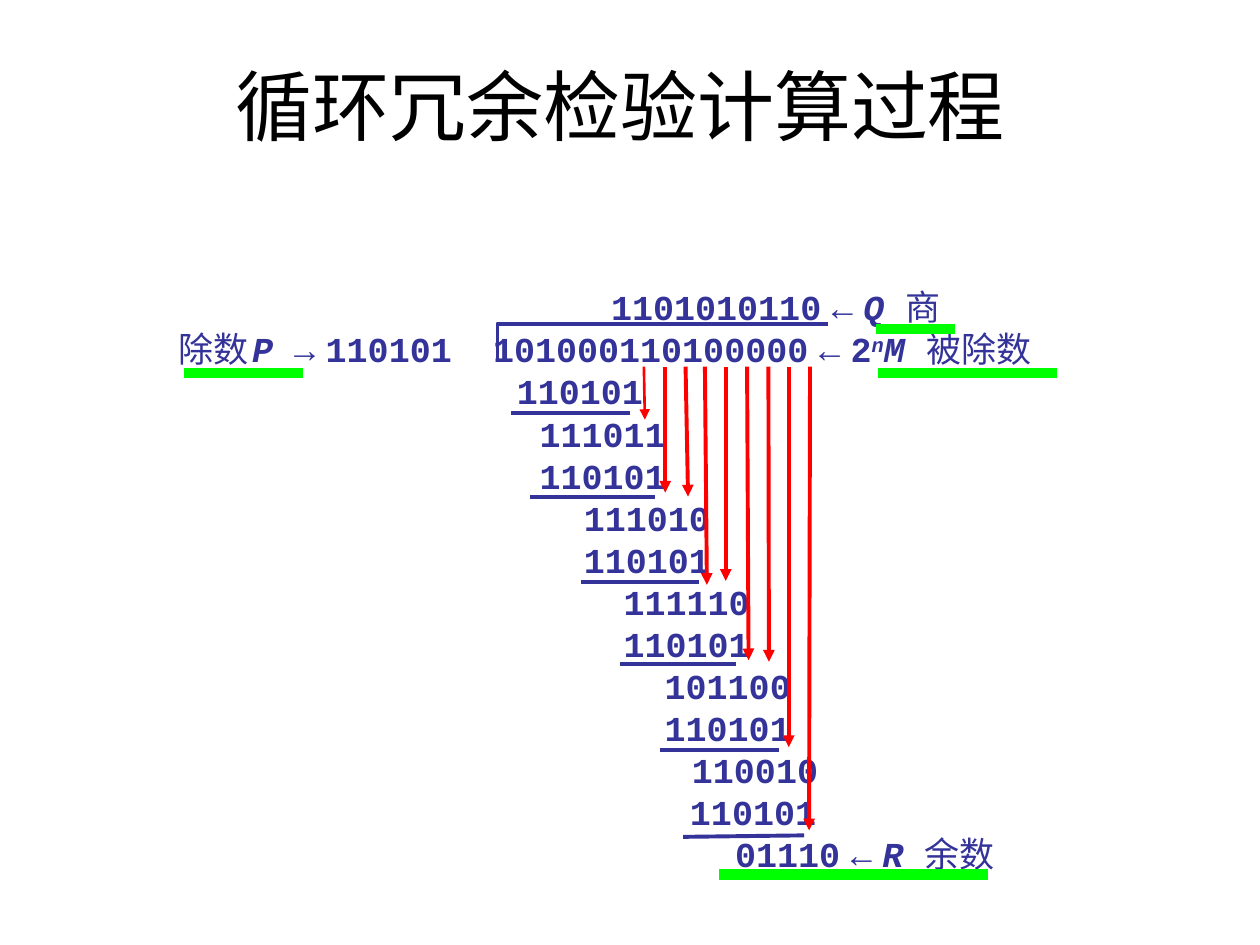
from lxml.etree import SubElement
from pptx import Presentation
from pptx.dml.color import RGBColor
from pptx.enum.shapes import MSO_CONNECTOR
from pptx.enum.text import MSO_ANCHOR, PP_ALIGN
from pptx.oxml.ns import qn
from pptx.util import Cm, Pt

NAVY, RED, GREEN, BLACK = "333399", "FF0000", "00FF00", "000000"
DIVISOR = "110101"
ARROW_TOP = 7.39

WORKING_ROWS = [
    (6.99, DIVISOR),
    (7.45, "111011"),
    (7.45, DIVISOR),
    (8.34, "111010"),
    (8.34, DIVISOR),
    (9.14, "111110"),
    (9.14, DIVISOR),
    (9.97, "101100"),
    (9.97, DIVISOR),
    (10.52, "110010"),
    (10.48, DIVISOR),
]
BRING_DOWN_ARROWS = [
    (12.98, 13.00, 8.46, 1.5),
    (13.41, 13.41, 9.93, 2.25),
    (13.82, 13.87, 10.01, 2.25),
    (14.21, 14.25, 11.79, 2.25),
    (14.63, 14.63, 11.71, 2.25),
    (15.06, 15.09, 13.31, 2.25),
    (15.49, 15.50, 13.34, 2.25),
    (15.90, 15.90, 15.06, 2.25),
    (16.33, 16.31, 16.74, 2.25),
]
SUBTRACTION_LINES = [
    (13.77, 16.87, 16.21, 16.84),
    (13.31, 15.11, 15.70, 15.11),
    (12.50, 13.39, 14.83, 13.39),
    (11.71, 11.73, 14.10, 11.73),
    (10.69, 10.01, 13.21, 10.01),
    (10.31, 8.33, 12.70, 8.33),
]
HIGHLIGHTS = [
    (14.50, 19.91, 17.63),
    (17.70, 21.31, 7.52),
    (3.71, 6.10, 7.52),
    (17.65, 19.25, 6.63),
]


def color(value):
    return RGBColor.from_string(value)


def add_run(paragraph, text, size=20, bold=True, italic=False, superscript=False):
    run = paragraph.add_run()
    run.text = text
    font = run.font
    font.name = "Courier New"
    font.size = Pt(size)
    font.bold = bold
    font.italic = italic
    font.color.rgb = color(NAVY)
    if superscript:
        run._r.get_or_add_rPr().set("baseline", "30000")


def add_arrow_sign(paragraph, sign):
    add_run(paragraph, " ", size=10)
    add_run(paragraph, sign)
    add_run(paragraph, " ", size=10)


def add_symbol(paragraph, letter):
    add_run(paragraph, letter + " ", italic=True)


def add_term(paragraph, term):
    add_run(paragraph, term, bold=False)


def add_row(text_frame, indent, first=False):
    paragraph = text_frame.paragraphs[0] if first else text_frame.add_paragraph()
    paragraph.line_spacing = Pt(24)
    properties = paragraph._p.get_or_add_pPr()
    properties.set("marL", str(Cm(indent)))
    properties.set("indent", "0")
    return paragraph


def add_tab_stop(paragraph, position):
    tab_list = SubElement(paragraph._p.get_or_add_pPr(), qn("a:tabLst"))
    SubElement(tab_list, qn("a:tab"), pos=str(Cm(position)), algn="l")


def add_division(slide):
    box = slide.shapes.add_textbox(Cm(3.18), Cm(5.64), Cm(18.72), Cm(12.12))
    text_frame = box.text_frame
    text_frame.word_wrap = True

    quotient = add_row(text_frame, 8.89, first=True)
    add_run(quotient, "1101010110")
    add_arrow_sign(quotient, "←")
    add_symbol(quotient, "Q")
    add_term(quotient, "商")

    dividend = add_row(text_frame, 0.16)
    add_tab_stop(dividend, 6.6)
    add_term(dividend, "除数")
    add_run(dividend, " ", size=10)
    add_symbol(dividend, "P")
    add_run(dividend, "→")
    add_run(dividend, " ", size=10)
    add_run(dividend, DIVISOR + "\t101000110100000")
    add_arrow_sign(dividend, "←")
    add_run(dividend, "2")
    add_run(dividend, "n", italic=True, superscript=True)
    add_symbol(dividend, "M")
    add_term(dividend, "被除数")

    for indent, digits in WORKING_ROWS:
        add_run(add_row(text_frame, indent), digits)

    remainder = add_row(text_frame, 11.39)
    add_run(remainder, "01110")
    add_arrow_sign(remainder, "←")
    add_symbol(remainder, "R")
    add_term(remainder, "余数")


def add_title(slide):
    title = slide.shapes.title
    title.left, title.top, title.width, title.height = Cm(1.9), Cm(0.53), Cm(21.6), Cm(3.18)
    text_frame = title.text_frame
    text_frame.vertical_anchor = MSO_ANCHOR.MIDDLE
    text_frame.margin_right = Cm(0.64)
    paragraph = text_frame.paragraphs[0]
    paragraph.alignment = PP_ALIGN.CENTER
    run = paragraph.add_run()
    run.text = "循环冗余检验计算过程"
    run.font.name = "Times New Roman"
    run.font.size = Pt(44)
    run.font.color.rgb = color(BLACK)


def add_line(slide, x1, y1, x2, y2, line_color, width=2.25, arrow=False):
    connector = slide.shapes.add_connector(
        MSO_CONNECTOR.STRAIGHT, Cm(x1), Cm(y1), Cm(x2), Cm(y2)
    )
    connector.line.color.rgb = color(line_color)
    connector.line.width = Pt(width)
    if arrow:
        SubElement(connector.line._get_or_add_ln(), qn("a:tailEnd"), type="triangle")
    SubElement(connector._element.spPr, qn("a:effectLst"))


def add_division_bracket(slide):
    builder = slide.shapes.build_freeform(Cm(10.03), Cm(7.26))
    builder.add_line_segments([(Cm(10.03), Cm(6.53)), (Cm(16.69), Cm(6.53))], close=False)
    bracket = builder.convert_to_shape()
    bracket.shadow.inherit = False
    bracket.fill.background()
    bracket.line.color.rgb = color(NAVY)
    bracket.line.width = Pt(2.25)


def main():
    presentation = Presentation()
    presentation.slide_width = Cm(25.4)
    presentation.slide_height = Cm(19.05)
    slide = presentation.slides.add_slide(presentation.slide_layouts[5])

    add_division(slide)
    add_title(slide)
    add_division_bracket(slide)
    for start, end, bottom, width in BRING_DOWN_ARROWS:
        add_line(slide, start, ARROW_TOP, end, bottom, RED, width, arrow=True)
    for ends in SUBTRACTION_LINES:
        add_line(slide, *ends, NAVY)
    for left, right, y in HIGHLIGHTS:
        add_line(slide, left, y, right, y, GREEN, 6)

    presentation.save("out.pptx")


if __name__ == "__main__":
    main()
